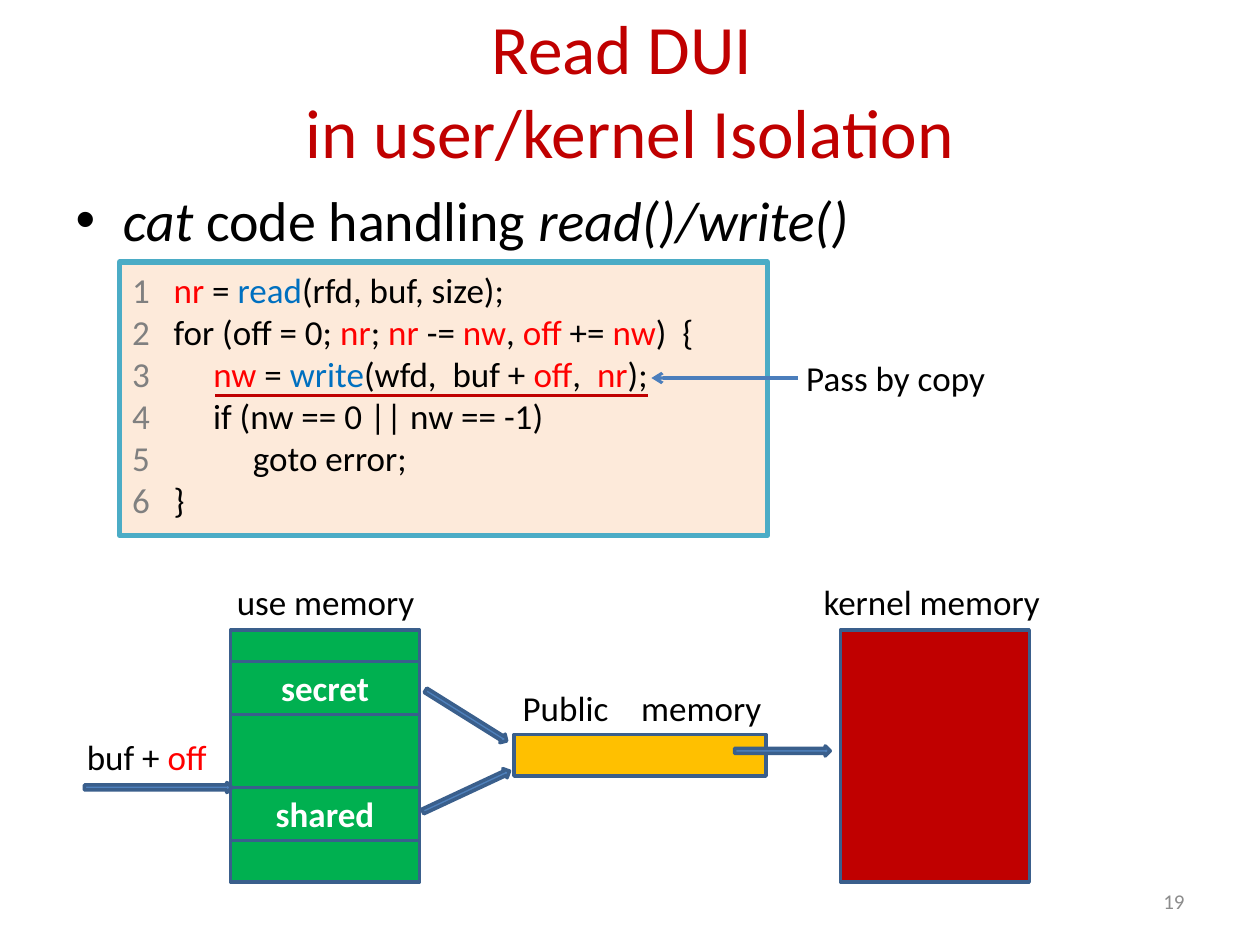
from dataclasses import dataclass
from typing import Optional

from lxml.etree import SubElement
from pptx import Presentation
from pptx.dml.color import RGBColor
from pptx.enum.shapes import MSO_CONNECTOR as Connector, MSO_SHAPE as Shape
from pptx.enum.text import MSO_ANCHOR as Anchor, PP_ALIGN as Align
from pptx.oxml.ns import qn
from pptx.util import Inches, Pt


@dataclass(frozen=True)
class Theme:
    """Colours, type sizes and line widths of the slide."""
    font: str = "Calibri"
    black: str = "000000"
    white: str = "FFFFFF"
    grey: str = "808080"
    page_grey: str = "8C8C8C"
    red: str = "FF0000"
    blue: str = "0070C0"
    crimson: str = "C00000"
    green: str = "00B050"
    amber: str = "FFC000"
    cream: str = "FDEADA"
    teal: str = "4BACC6"
    arrow: str = "4F81BD"
    outline: str = "3A5F8C"
    pointer: str = "4B7EBC"
    title_size: float = 39.6
    body_size: float = 32
    text_size: float = 20
    page_size: float = 12
    border: float = 2


THEME = Theme()


@dataclass(frozen=True)
class Area:
    """Left, top, width and height in inches."""
    left: float
    top: float
    width: float
    height: float

    def lengths(self) -> tuple:
        """Return the four measures as lengths."""
        return tuple(map(Inches, (self.left, self.top, self.width, self.height)))


@dataclass(frozen=True)
class Span:
    """A run of text in one colour."""
    text: str
    color: str = THEME.black
    italic: Optional[bool] = None


@dataclass(frozen=True)
class Block:
    """A rectangle with an optional bold label."""
    area: Area
    fill: str
    label: str = ""


@dataclass(frozen=True)
class Label:
    """A single-line text box."""
    area: Area
    spans: tuple
    align: Align = Align.CENTER
    tab: Optional[float] = None


@dataclass(frozen=True)
class Arrow:
    """A thin block arrow."""
    left: float
    top: float
    width: float = 0.76
    rotation: float = 0


def red(text: str) -> Span:
    """Return a span for a tainted variable."""
    return Span(text, THEME.red)


def blue(text: str) -> Span:
    """Return a span for a system call."""
    return Span(text, THEME.blue)


def grey(text: str) -> Span:
    """Return a span for a line number."""
    return Span(text, THEME.grey)


CODE = (
    (grey("1   "), red("nr "), Span("= "), blue("read"), Span("(rfd, buf, size);")),
    (grey("2  "), Span(" for (off = 0; "), red("nr"), Span("; "), red("nr"), Span(" -= "),
     red("nw"), Span(", "), red("off"), Span(" += "), red("nw"), Span(")  {")),
    (grey("3        "), red("nw "), Span("= "), blue("write"), Span("(wfd,  buf + "),
     red("off"), Span(",  "), red("nr"), Span(");")),
    (grey("4"), Span("        if (nw == 0 || nw == -1)")),
    (grey("5             "), Span("goto error;")),
    (grey("6"), Span("   }")),
)
BLOCKS = (
    Block(Area(1.83, 5, 1.5, 2), THEME.green),
    Block(Area(1.83, 5.25, 1.5, 0.42), THEME.green, "secret"),
    Block(Area(1.83, 6.25, 1.5, 0.42), THEME.green, "shared"),
    Block(Area(4.08, 5.83, 2, 0.33), THEME.amber),
    Block(Area(6.67, 5, 1.5, 2), THEME.crimson),
)
LABELS = (
    Label(Area(6.3, 2.78, 1.95, 0.44), (Span("Pass by copy"),), Align.LEFT),
    Label(Area(1.75, 4.56, 1.67, 0.44), (Span("use memory"),)),
    Label(Area(6.29, 4.56, 2.21, 0.44), (Span("kernel memory"),)),
    Label(Area(4.05, 5.4, 2.1, 0.44), (Span("Public\tmemory"),), Align.LEFT, 0.94),
    Label(Area(0.58, 5.79, 1.17, 0.44), (Span("buf + "), red("off"))),
)
ARROWS = (
    Arrow(5.83, 5.92),
    Arrow(0.67, 6.21, width=1.17),
    Arrow(3.32, 6.24, rotation=335),
    Arrow(3.32, 5.64, rotation=32),
)


def write(para, spans: tuple, size: float, align: Optional[Align] = None) -> None:
    """Fill a paragraph with coloured spans."""
    para.alignment = align
    para.font.name, para.font.size = THEME.font, Pt(size)
    for span in spans:
        run = para.add_run()
        run.text = span.text
        run.font.color.rgb = RGBColor.from_string(span.color)
        run.font.italic = span.italic


def place(shape, area: Area) -> None:
    """Move and size a placeholder."""
    shape.left, shape.top, shape.width, shape.height = area.lengths()


def add_box(page, kind: Shape, area: Area, fill: str, line: str, width: float):
    """Add a filled and outlined shape."""
    box = page.shapes.add_shape(kind, *area.lengths())
    box.shadow.inherit = False
    box.fill.solid()
    box.fill.fore_color.rgb = RGBColor.from_string(fill)
    box.line.color.rgb = RGBColor.from_string(line)
    box.line.width = Pt(width)
    return box


def add_block(page, block: Block) -> None:
    """Add a memory block and its label."""
    box = add_box(page, Shape.RECTANGLE, block.area, block.fill, THEME.outline, THEME.border)
    if block.label:
        box.text_frame.vertical_anchor = Anchor.MIDDLE
        para = box.text_frame.paragraphs[0]
        write(para, (Span(block.label, THEME.white),), THEME.text_size, Align.CENTER)
        para.font.bold = True


def add_label(page, label: Label, size: float = THEME.text_size):
    """Add a text box, with a tab stop where one is given."""
    box = page.shapes.add_textbox(*label.area.lengths())
    box.text_frame.word_wrap = True
    para = box.text_frame.paragraphs[0]
    if label.tab:
        stops = SubElement(para._p.get_or_add_pPr(), qn("a:tabLst"))
        SubElement(stops, qn("a:tab"), pos=str(Inches(label.tab)), algn="l")
    write(para, label.spans, size, label.align)
    return box


def add_arrow(page, arrow: Arrow) -> None:
    """Add a block arrow turned to its angle."""
    area = Area(arrow.left, arrow.top, arrow.width, 0.08)
    box = add_box(page, Shape.RIGHT_ARROW, area, THEME.arrow, THEME.outline, THEME.border)
    box.rotation = arrow.rotation


def add_line(page, start: float, end: float, top: float, color: str, width: float,
             head: bool = False) -> None:
    """Add a level line, with an arrowhead at its end on request."""
    line = page.shapes.add_connector(
        Connector.STRAIGHT, Inches(start), Inches(top), Inches(end), Inches(top))
    line.line.color.rgb = RGBColor.from_string(color)
    line.line.width = Pt(width)
    if head:
        SubElement(line.line._get_or_add_ln(), qn("a:tailEnd"), type="arrow")
    SubElement(line._element.spPr, qn("a:effectLst"))


def add_code(page) -> None:
    """Add the code listing."""
    area = Area(0.95, 2.08, 5.14, 2.17)
    frame = add_box(page, Shape.RECTANGLE, area, THEME.cream, THEME.teal, 3).text_frame
    frame.vertical_anchor = Anchor.TOP
    for index, spans in enumerate(CODE):
        para = frame.add_paragraph() if index else frame.paragraphs[0]
        write(para, spans, THEME.text_size, Align.LEFT)


def main() -> None:
    """Build and save the slide."""
    deck = Presentation()
    deck.slide_width, deck.slide_height = Inches(10), Inches(7.5)
    page = deck.slides.add_slide(deck.slide_layouts[1])
    title, body = page.placeholders
    place(title, Area(0.5, 0.08, 9, 1.25))
    write(title.text_frame.paragraphs[0],
          (Span("Read DUI \vin user/kernel Isolation".split("\v")[0], THEME.crimson),),
          THEME.title_size, Align.CENTER)
    title.text_frame.paragraphs[0].add_line_break()
    write(title.text_frame.paragraphs[0], (Span("in user/kernel Isolation", THEME.crimson),),
          THEME.title_size, Align.CENTER)
    place(body, Area(0.5, 1.42, 9, 4.95))
    write(body.text_frame.paragraphs[0],
          (Span("cat ", italic=True), Span("code handling "), Span("read()/write()", italic=True)),
          THEME.body_size)
    add_code(page)
    for block in BLOCKS:
        add_block(page, block)
    for label in LABELS:
        add_label(page, label)
    for arrow in ARROWS:
        add_arrow(page, arrow)
    add_line(page, 6.33, 5.17, 3, THEME.pointer, 1.75, head=True)
    add_line(page, 1.71, 5.14, 3.14, THEME.crimson, 1.5)
    number = Label(Area(7.17, 6.95, 2.33, 0.4), (Span("19", THEME.page_grey),), Align.RIGHT)
    add_label(page, number, THEME.page_size).text_frame.vertical_anchor = Anchor.MIDDLE
    deck.save("out.pptx")


if __name__ == "__main__":
    main()
